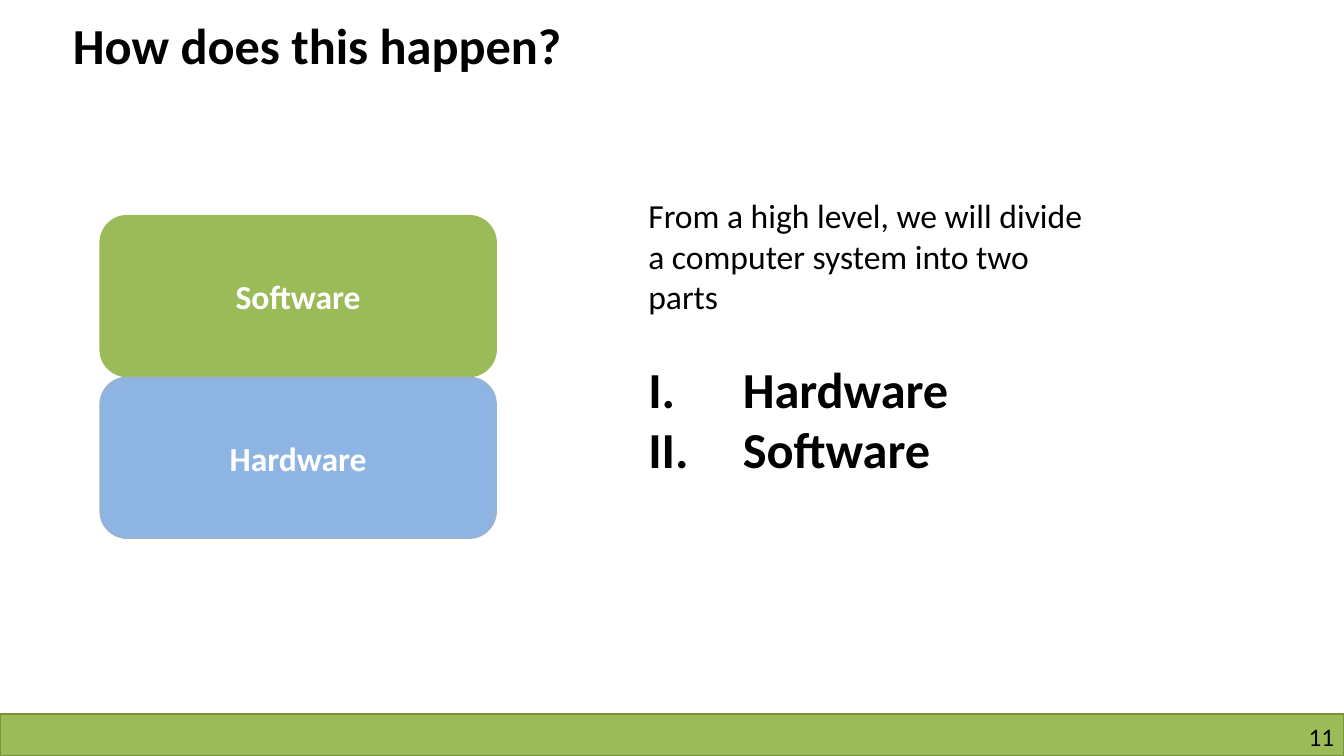
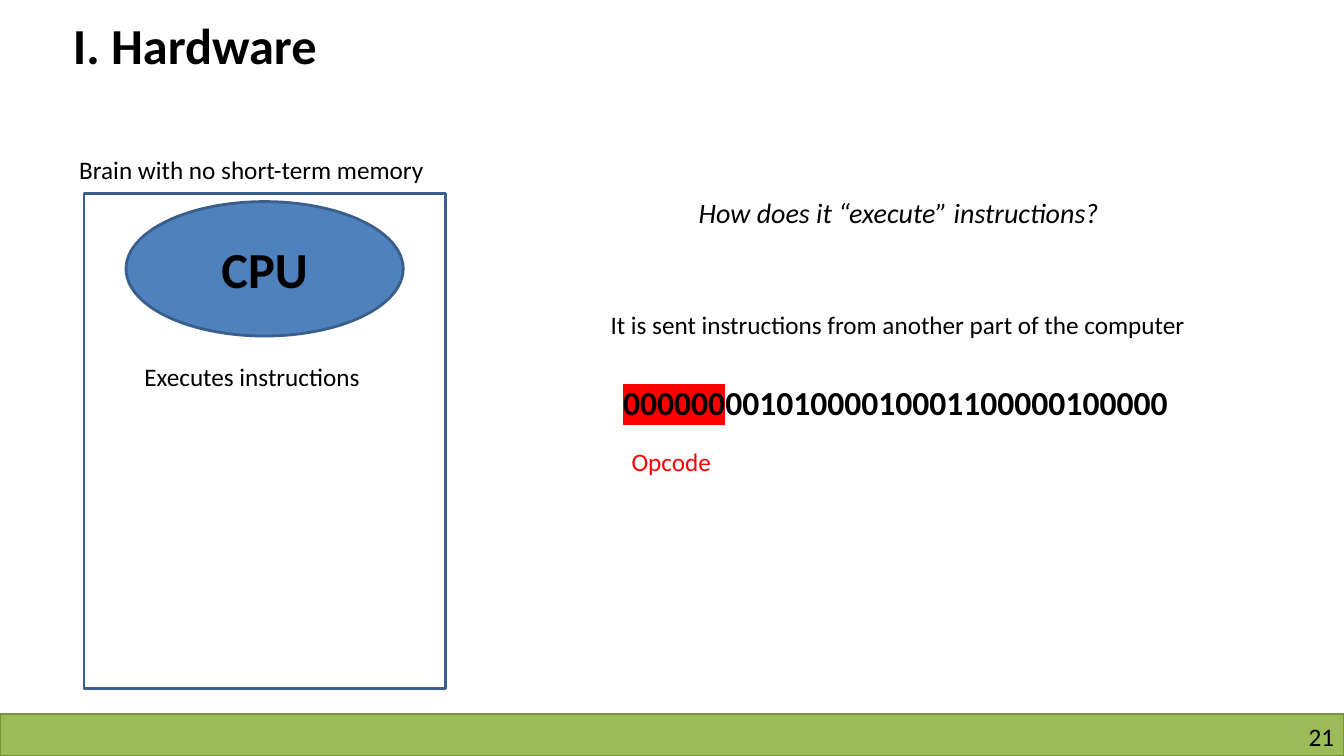
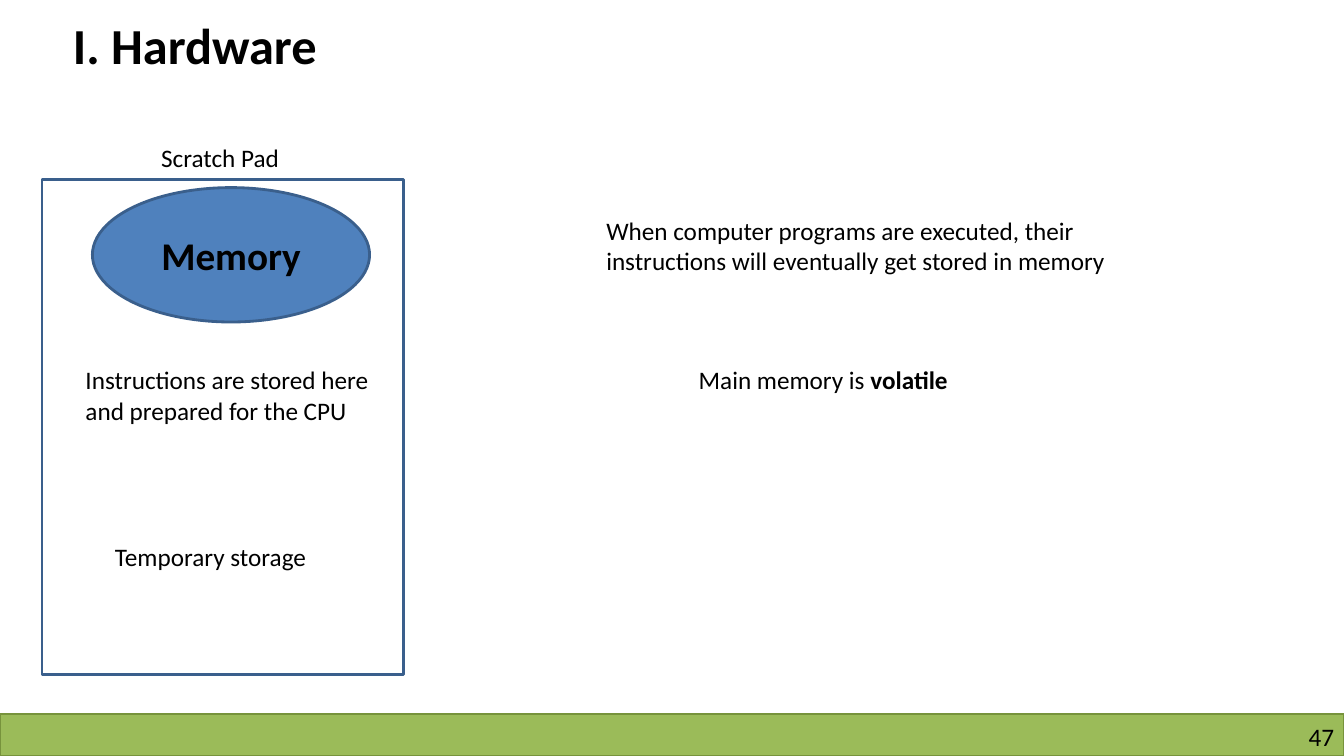
import pptx
import pptx.dml.color
import pptx.enum.shapes
import pptx.enum.text
import pptx.oxml
import pptx.oxml.ns
import pptx.util

Pt = pptx.util.Pt
SHAPE = pptx.enum.shapes.MSO_SHAPE
ALIGN = pptx.enum.text.PP_ALIGN
ANCHOR = pptx.enum.text.MSO_ANCHOR
AUTO_SIZE = pptx.enum.text.MSO_AUTO_SIZE

WIDTH, HEIGHT = 960, 540
FONT = "Calibri"
COLORS = {
    "black": "000000",
    "white": "FFFFFF",
    "red": "FF0000",
    "green": "9BBB59",
    "dark green": "77933C",
    "light blue": "8EB4E3",
    "light blue edge": "95B3D7",
    "blue": "4F81BD",
    "blue edge": "3A5F8C",
}


def rgb(name):
    return pptx.dml.color.RGBColor.from_string(COLORS[name])


def xml(tag, attributes=""):
    namespace = pptx.oxml.ns.nsdecls("a")
    return pptx.oxml.parse_xml(f"<a:{tag} {namespace} {attributes}/>")


def add_span(para, text, size, color="black", bold=False, italic=False, highlight=None):
    span = para.add_run()
    span.text = text
    font = span.font
    font.size, font.bold, font.italic = Pt(size), bold, italic
    font.color.rgb = rgb(color)
    if highlight:
        mark = xml("highlight")
        mark.append(xml("srgbClr", f'val="{COLORS[highlight]}"'))
        span._r.get_or_add_rPr().append(mark)
    font.name = FONT


def add_text(page, left, top, width, height, text, size=18, wrap=False, **style):
    """Add a text box with one run and return its paragraph."""
    box = page.shapes.add_textbox(Pt(left), Pt(top), Pt(width), Pt(height))
    frame = box.text_frame
    frame.word_wrap = wrap
    frame.auto_size = AUTO_SIZE.SHAPE_TO_FIT_TEXT
    para = frame.paragraphs[0]
    add_span(para, text, size, **style)
    return para


def add_numbered_list(page, left, top, width, height, items, size):
    box = page.shapes.add_textbox(Pt(left), Pt(top), Pt(width), Pt(height))
    frame = box.text_frame
    frame.word_wrap = False
    frame.auto_size = AUTO_SIZE.SHAPE_TO_FIT_TEXT
    for index, item in enumerate(items):
        para = frame.add_paragraph() if index else frame.paragraphs[0]
        properties = para._p.get_or_add_pPr()
        properties.set("marL", str(Pt(67.5)))
        properties.set("indent", str(-Pt(67.5)))
        properties.append(xml("buFont", 'typeface="+mj-lt"'))
        properties.append(xml("buAutoNum", 'type="romanUcPeriod"'))
        add_span(para, item, size, bold=True)


def add_shape(page, kind, left, top, width, height, fill, edge, edge_width=2):
    shape = page.shapes.add_shape(kind, Pt(left), Pt(top), Pt(width), Pt(height))
    shape.shadow.inherit = False
    if fill:
        shape.fill.solid()
        shape.fill.fore_color.rgb = rgb(fill)
    else:
        shape.fill.background()
    shape.line.color.rgb = rgb(edge)
    shape.line.width = Pt(edge_width)
    return shape


def add_label(shape, text, size, color):
    frame = shape.text_frame
    frame.word_wrap = True
    frame.vertical_anchor = ANCHOR.MIDDLE
    para = frame.paragraphs[0]
    para.alignment = ALIGN.CENTER
    add_span(para, text, size, color, bold=True)


def add_layer(page, top, text, fill, edge):
    layer = add_shape(page, SHAPE.ROUNDED_RECTANGLE, 72, top, 282, 114, fill, edge)
    add_label(layer, text, 24, "white")


def add_part_panel(page, left, top, inset, name, size):
    """Add a tall frame with an oval that names a part of the computer."""
    oval = add_shape(page, SHAPE.OVAL, left + inset, top + 6, 198, 96, "blue", "blue edge")
    add_label(oval, name, size, "black")
    add_shape(page, SHAPE.RECTANGLE, left, top, 258, 354, None, "blue edge")


def add_page(deck, title, number):
    """Add a page with its footer band, page number and title."""
    page = deck.slides.add_slide(deck.slide_layouts[6])
    add_shape(page, SHAPE.RECTANGLE, 0, 510, WIDTH, 30, "green", "dark green", 1)
    box = page.shapes.add_textbox(Pt(732), Pt(515), Pt(221), Pt(21.6))
    frame = box.text_frame
    frame.word_wrap = True
    frame.margin_left = frame.margin_right = frame.margin_top = frame.margin_bottom = 0
    frame.paragraphs[0].alignment = ALIGN.RIGHT
    add_span(frame.paragraphs[0], str(number), 18)
    add_text(page, 45, 6.5, 687, 51, title, 36, wrap=True, bold=True)
    return page


def build_overview(deck):
    page = add_page(deck, "How does this happen?", 11)
    add_text(page, 456, 136, 325.5, 94,
             "From a high level, we will divide a computer system into two parts",
             24, wrap=True)
    add_layer(page, 154.5, "Software", "green", "green")
    add_layer(page, 270, "Hardware", "light blue", "light blue edge")
    add_numbered_list(page, 456, 252, 248.5, 94, ["Hardware", "Software"], 36)


def build_cpu(deck):
    page = add_page(deck, "I. Hardware", 21)
    add_part_panel(page, 60, 138, 30, "CPU", 36)
    add_text(page, 49.5, 106.5, 278, 29, "Brain with no short-term memory")
    add_text(page, 96, 254.5, 192, 29, "Executes instructions")
    add_text(page, 492, 136, 328.5, 31.5, "How does it “execute” instructions?", 20, italic=True)
    add_text(page, 429, 217.5, 455, 29,
             "It is sent instructions from another part of the computer")
    instruction = add_text(page, 438, 269.5, 482.5, 36, "000000", 24, wrap=True,
                           bold=True, highlight="red")
    add_span(instruction, "00101000010001100000100000", 24, bold=True)
    add_text(page, 444, 315.5, 78.5, 29, "Opcode", color="red")


def build_memory(deck):
    page = add_page(deck, "I. Hardware", 47)
    add_part_panel(page, 30, 128, 36, "Memory", 28)
    add_text(page, 108, 98, 114, 29, "Scratch Pad")
    add_text(page, 54, 257, 222, 73,
             "Instructions are stored here and prepared for the CPU", wrap=True)
    add_text(page, 426, 150, 396, 51,
             "When computer programs are executed, their instructions "
             "will eventually get stored in memory", wrap=True)
    volatility = add_text(page, 492, 257, 210, 29, "Main memory is ")
    add_span(volatility, "volatile", 18, bold=True)
    add_text(page, 75, 383, 168, 29, "Temporary storage")


def main():
    deck = pptx.Presentation()
    deck.slide_width, deck.slide_height = Pt(WIDTH), Pt(HEIGHT)
    build_overview(deck)
    build_cpu(deck)
    build_memory(deck)
    deck.save("out.pptx")


if __name__ == "__main__":
    main()
